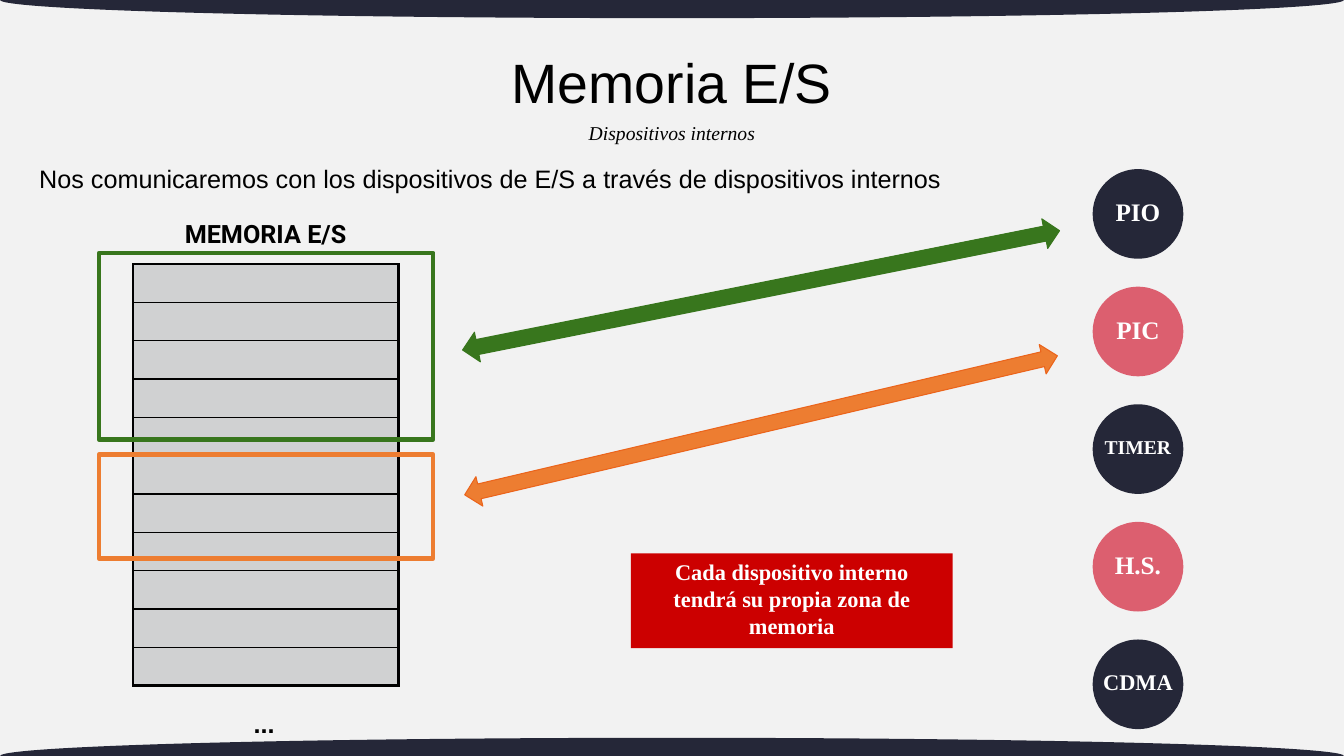
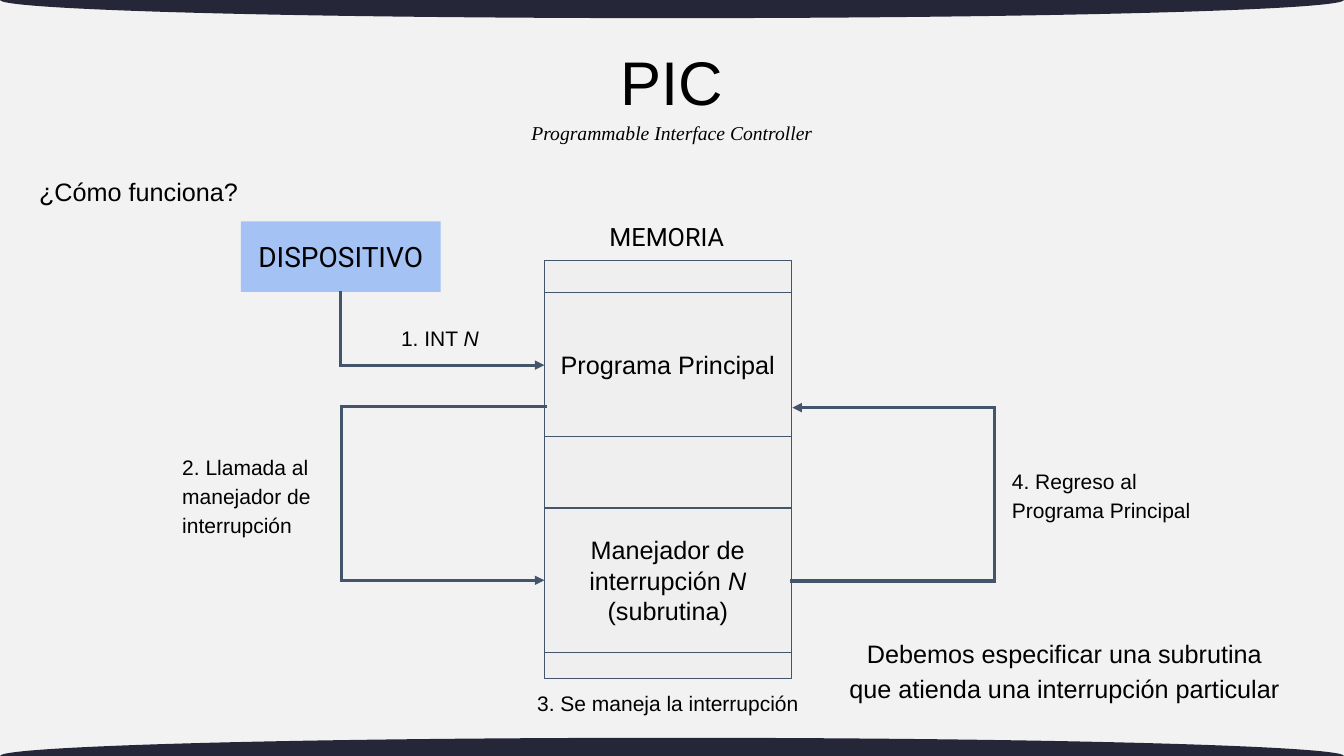
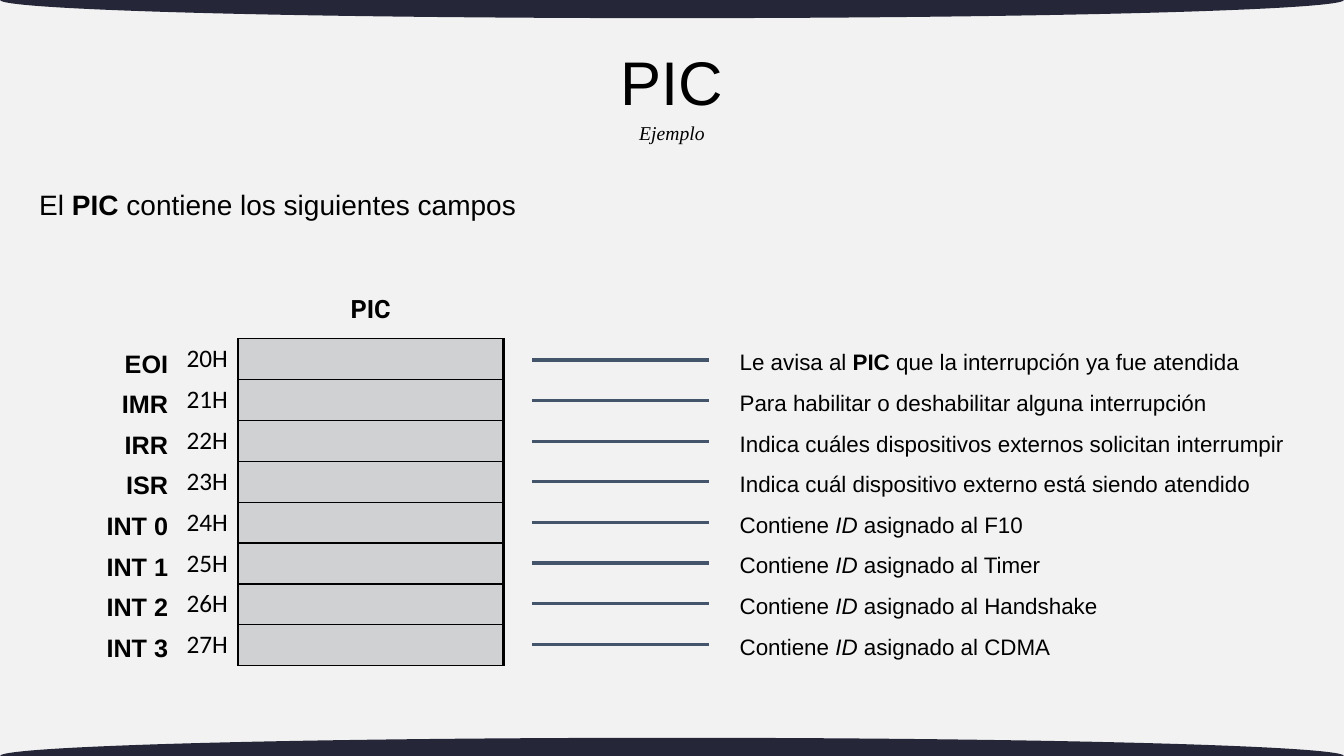
from lxml import etree
from pptx import Presentation
from pptx.dml.color import RGBColor
from pptx.enum.shapes import MSO_CONNECTOR, MSO_SHAPE
from pptx.enum.text import MSO_ANCHOR, MSO_AUTO_SIZE, PP_ALIGN
from pptx.oxml import parse_xml
from pptx.oxml.ns import qn
from pptx.util import Pt

LEFT, CENTER, RIGHT = PP_ALIGN.LEFT, PP_ALIGN.CENTER, PP_ALIGN.RIGHT
TOP, MIDDLE = MSO_ANCHOR.TOP, MSO_ANCHOR.MIDDLE
OVAL, RECTANGLE, DOUBLE_ARROW = MSO_SHAPE.OVAL, MSO_SHAPE.RECTANGLE, MSO_SHAPE.LEFT_RIGHT_ARROW
STRAIGHT = MSO_CONNECTOR.STRAIGHT
NO_AUTOFIT = MSO_AUTO_SIZE.NONE

COLORS = {
    "background": "F2F2F2", "navy": "252738", "pink": "DC5F6F", "black": "000000",
    "white": "FFFFFF", "cell": "D0D1D2", "green": "38761D", "orange": "ED7D31",
    "dark orange": "EB641B", "red": "CC0000", "light blue": "A4C2F4",
    "memory": "EFEFEF", "slate": "44546A",
}
SERIF = "Times New Roman"
NO_STYLE = "{2D5ABB26-0587-4C30-8999-92F81FD0307C}"
DRAWING = "http://schemas.openxmlformats.org/drawingml/2006/main"


def write(shape, content, font="Arial", size=18, color="black", bold=False, italic=False,
          align=LEFT, anchor=MIDDLE, spacing=1.0, margins=(7.2, 3.6, 7.2, 3.6), wrap=True):
    frame = shape.text_frame
    frame.auto_size = NO_AUTOFIT
    frame.word_wrap = wrap
    frame.vertical_anchor = anchor
    frame.margin_left, frame.margin_top, frame.margin_right, frame.margin_bottom = map(Pt, margins)
    paragraph = frame.paragraphs[0]
    paragraph.alignment = align
    paragraph.line_spacing = spacing
    for text, style in [(content, "")] if isinstance(content, str) else content:
        run = paragraph.add_run()
        run.text = text
        run.font.name = font
        run.font.size = Pt(size)
        run.font.bold = bold or style == "bold"
        run.font.italic = italic or style == "italic"
        run.font.color.rgb = RGBColor.from_string(COLORS[color])


def add_box(slide, kind, bounds, fill=None, line=None, weight=0.75):
    shape = slide.shapes.add_shape(kind, *map(Pt, bounds))
    shape.shadow.inherit = False
    if fill:
        shape.fill.solid()
        shape.fill.fore_color.rgb = RGBColor.from_string(COLORS[fill])
    else:
        shape.fill.background()
    if line:
        shape.line.color.rgb = RGBColor.from_string(COLORS[line])
        shape.line.width = Pt(weight)
    else:
        shape.line.fill.background()
    return shape


presentation = Presentation()
presentation.slide_width, presentation.slide_height = Pt(960), Pt(540)
master = presentation.slide_master
master.background.fill.solid()
master.background.fill.fore_color.rgb = RGBColor.from_string(COLORS["background"])

slides = []
for title, subtitle, size in [
    ("Memoria E/S", "Dispositivos internos", 39.6),
    ("PIC", "Programmable Interface Controller", 44),
    ("PIC", "Ejemplo", 44),
]:
    slide = presentation.slides.add_slide(presentation.slide_layouts[5])
    heading = slide.shapes.title
    heading.left, heading.top, heading.width, heading.height = map(Pt, (247, 27, 466, 68))
    write(heading, title, size=size, align=CENTER, spacing=0.9)
    write(slide.shapes.add_textbox(*map(Pt, (316.8, 82.8, 326.4, 24.5))), subtitle,
          font=SERIF, size=14, italic=True, align=CENTER, anchor=TOP)
    slides.append(slide)
memory_slide, interrupt_slide, fields_slide = slides

for top in (-13, 527):
    band = add_box(memory_slide, OVAL, (0, top, 960, 26), fill="navy")
    master.element.cSld.spTree.insert(2, band.element)

addresses = [f"{number}H" for number in range(20, 28)]
for slide, left, top, widths, row_height, rows, bottom_weight in [
    (memory_slide, 95, 188.6, [189.5], 27.4, [[""]] * 11, 2.25),
    (fields_slide, 88.6, 241.9, [81.4, 189.5], 29.2, [[address, ""] for address in addresses], 1),
]:
    table = slide.shapes.add_table(len(rows), len(widths), Pt(left), Pt(top),
                                   Pt(sum(widths)), Pt(row_height * len(rows))).table
    table.first_row = table.horz_banding = False
    table._tbl.tblPr.find(qn("a:tableStyleId")).text = NO_STYLE
    for column, width in zip(table.columns, widths):
        column.width = Pt(width)
    for row_index, values in enumerate(rows):
        table.rows[row_index].height = Pt(row_height)
        for column_index, value in enumerate(values):
            cell = table.cell(row_index, column_index)
            if value:
                cell.fill.background()
                paragraph = cell.text_frame.paragraphs[0]
                paragraph.alignment = RIGHT
                run = paragraph.add_run()
                run.text = value
                run.font.name, run.font.size = "Calibri", Pt(18)
                run.font.color.rgb = RGBColor.from_string(COLORS["black"])
                continue
            cell.margin_top = cell.margin_bottom = 0
            cell.fill.solid()
            cell.fill.fore_color.rgb = RGBColor.from_string(COLORS["cell"])
            last = row_index == len(rows) - 1
            weights = {"L": 1, "R": 2.25, "T": 1, "B": bottom_weight if last else 1}
            for position, (side, weight) in enumerate(weights.items()):
                cell._tc.get_or_add_tcPr().insert(position, parse_xml(
                    f'<a:ln{side} xmlns:a="{DRAWING}" w="{Pt(weight)}"><a:solidFill>'
                    f'<a:srgbClr val="{COLORS["black"]}"/></a:solidFill></a:ln{side}>'))

for index, (device, size) in enumerate(
        [("PIO", 18), ("PIC", 18), ("TIMER", 14), ("H.S.", 18), ("CDMA", 16)]):
    circle = add_box(memory_slide, OVAL, (780.5, 120.8 + 84 * index, 64.8, 64),
                     fill="pink" if index % 2 else "navy")
    write(circle, device, font=SERIF, size=size, color="white", bold=True, align=CENTER,
          margins=(0, 0, 0, 3.6), wrap=False)

for color, outline, zone_top, zone_height, arrow_top, rotation in [
    ("green", "green", 180.7, 133.2, 196.6, 348.7),
    ("orange", "dark orange", 324.7, 74.2, 293, 346.8),
]:
    add_box(memory_slide, RECTANGLE, (70.6, zone_top, 239, zone_height), line=color, weight=3)
    arrow = add_box(memory_slide, DOUBLE_ARROW, (326.2, arrow_top, 434.9, 21.6),
                    fill=color, line=outline)
    arrow.rotation = rotation

note = add_box(memory_slide, RECTANGLE, (450.7, 395.3, 229.7, 67.7), fill="red")
write(note, "Cada dispositivo interno tendrá su propia zona de memoria", font=SERIF, size=16,
      color="white", bold=True, align=CENTER, anchor=TOP)

device_box = add_box(interrupt_slide, RECTANGLE, (172.1, 158.2, 142.6, 50.4), fill="light blue")
write(device_box, "DISPOSITIVO", font="Roboto", size=20, align=CENTER)
handler = [("Manejador de interrupción ", ""), ("N", "italic"), (" (subrutina)", "")]
for top, height, content in [(186, 299, ""), (208.8, 103, "Programa Principal"),
                             (362.9, 103, handler)]:
    block = add_box(interrupt_slide, RECTANGLE, (388.8, top, 176.4, height),
                    fill="memory", line="slate")
    if content:
        write(block, content, align=CENTER)

labels = [
    (memory_slide, "Nos comunicaremos con los dispositivos de E/S a través de dispositivos internos",
     (20.9, 110.2, 697, 31), {}),
    (memory_slide, "MEMORIA E/S", (95, 152.6, 189.5, 36),
     {"font": "Roboto", "bold": True, "align": CENTER, "anchor": TOP, "spacing": 1}),
    (memory_slide, "...", (174.2, 505.4, 31.7, 19.4), {"bold": True}),
    (interrupt_slide, "¿Cómo funciona?", (20.9, 116, 158.4, 38.2), {}),
    (interrupt_slide, "MEMORIA", (427.7, 148.3, 97.2, 38.2), {"font": "Roboto", "align": CENTER}),
    (interrupt_slide, [("1. INT ", ""), ("N", "italic")], (279.4, 221, 72, 38.2), {"size": 15}),
    (interrupt_slide, "2. Llamada al manejador de interrupción", (123.1, 322.6, 119.5, 60.5),
     {"size": 15}),
    (interrupt_slide, "3. Se maneja la interrupción", (376.6, 485.3, 203, 31.7), {"size": 15}),
    (interrupt_slide, "4. Regreso al Programa Principal", (715.7, 322.6, 152.6, 60.5),
     {"size": 15}),
    (interrupt_slide, "Debemos especificar una subrutina que atienda una interrupción particular",
     (599, 437.8, 322.6, 79.2), {"align": CENTER}),
    (fields_slide, [("El ", ""), ("PIC", "bold"), (" contiene los siguientes campos", "")],
     (20.9, 123.8, 919.4, 41), {"size": 20}),
    (fields_slide, "PIC", (170, 206, 189.5, 36),
     {"font": "Roboto", "bold": True, "align": CENTER, "anchor": TOP, "spacing": 1}),
]
paths = [
    (interrupt_slide, [(243.2, 208.8), (243.2, 260.8), (388.8, 260.8)], True),
    (interrupt_slide, [(389.5, 290.5), (244, 290.5), (244, 414.5), (388.8, 414.5)], True),
    (interrupt_slide, [(565.2, 415), (710.6, 415), (710.6, 291.2), (566, 291.2)], True),
]

fields = [
    ("EOI", [("Le avisa al ", ""), ("PIC ", "bold"), ("que la interrupción ya fue atendida", "")]),
    ("IMR", "Para habilitar o deshabilitar alguna interrupción"),
    ("IRR", "Indica cuáles dispositivos externos solicitan interrumpir"),
    ("ISR", "Indica cuál dispositivo externo está siendo atendido"),
]
for index, source in enumerate(["F10", "Timer", "Handshake", "CDMA"]):
    fields.append((f"INT {index}",
                   [("Contiene ", ""), ("ID", "italic"), (f" asignado al {source}", "")]))
for index, (name, description) in enumerate(fields):
    offset = 29 * index
    labels.append((fields_slide, name, (57.2, 242.2 + offset, 70, 31),
                   {"bold": True, "align": RIGHT}))
    labels.append((fields_slide, description, (521.3, 243.4 + offset, 429, 27.4), {"size": 16}))
    paths.append((fields_slide, [(380.9, 257.2 + offset), (505.4, 257.2 + offset)], False))

for slide, content, bounds, options in labels:
    write(slide.shapes.add_textbox(*map(Pt, bounds)), content, **{"spacing": 1.15, **options})

for slide, points, has_arrow in paths:
    for start, end in zip(points, points[1:]):
        connector = slide.shapes.add_connector(STRAIGHT, *map(Pt, start + end))
        connector.line.color.rgb = RGBColor.from_string(COLORS["slate"])
        connector.line.width = Pt(2.25)
        outline = connector.line._get_or_add_ln()
        outline.set("cap", "sq")
        if has_arrow and end == points[-1]:
            etree.SubElement(outline, qn("a:tailEnd"), type="triangle")
        etree.SubElement(connector.element.spPr, qn("a:effectLst"))

presentation.save("out.pptx")
